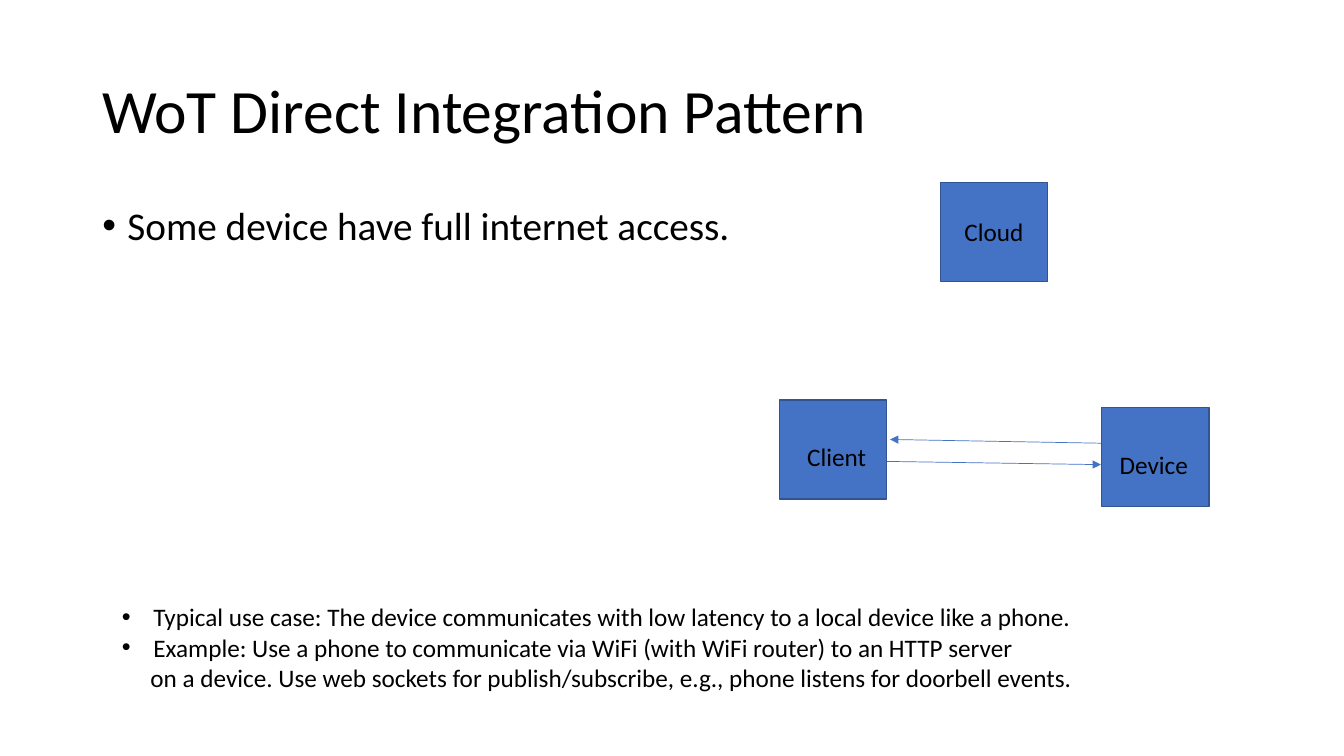
from dataclasses import dataclass

from lxml import etree
from pptx import Presentation
from pptx.dml.color import RGBColor
from pptx.enum.shapes import MSO_CONNECTOR, MSO_SHAPE
from pptx.enum.text import MSO_ANCHOR, MSO_AUTO_SIZE
from pptx.oxml.ns import qn
from pptx.util import Pt

RECTANGLE = MSO_SHAPE.RECTANGLE
STRAIGHT = MSO_CONNECTOR.STRAIGHT
TOP, MIDDLE = MSO_ANCHOR.TOP, MSO_ANCHOR.MIDDLE
GROW, FIXED = MSO_AUTO_SIZE.SHAPE_TO_FIT_TEXT, MSO_AUTO_SIZE.NONE

FONT = "Calibri"
BLACK, BLUE, DARK_BLUE = "000000", "4472C4", "325491"
NODE_WIDTH, NODE_HEIGHT = 76.5, 70.8


@dataclass
class Line:
    text: str
    indent: float = 0
    bullet: bool = False


@dataclass
class Node:
    left: float
    top: float
    label: str
    label_left: float
    label_top: float
    label_width: float


@dataclass
class Arrow:
    start: tuple[float, float]
    end: tuple[float, float]


def color(value: str) -> RGBColor:
    return RGBColor.from_string(value)


def add_text(slide, lines: list[Line], left: float, top: float, width: float,
             height: float, *, size: float = 18, spacing: float = 1.0,
             anchor=TOP, wrap: bool = True, fit=FIXED) -> None:
    box = slide.shapes.add_textbox(Pt(left), Pt(top), Pt(width), Pt(height))
    frame = box.text_frame
    frame.word_wrap = wrap
    frame.auto_size = fit
    frame.vertical_anchor = anchor
    for index, line in enumerate(lines):
        para = frame.add_paragraph() if index else frame.paragraphs[0]
        para.line_spacing = spacing
        properties = para._p.get_or_add_pPr()
        properties.set("marL", str(Pt(line.indent)))
        if line.bullet:
            properties.set("indent", str(-Pt(line.indent)))
            etree.SubElement(properties, qn("a:buFont")).set("typeface", "Arial")
            etree.SubElement(properties, qn("a:buChar")).set("char", "•")
        span = para.add_run()
        span.text = line.text
        span.font.name = FONT
        span.font.size = Pt(size)
        span.font.color.rgb = color(BLACK)


def add_node(slide, node: Node) -> None:
    square = slide.shapes.add_shape(RECTANGLE, Pt(node.left), Pt(node.top),
                                    Pt(NODE_WIDTH), Pt(NODE_HEIGHT))
    square.shadow.inherit = False
    square.fill.solid()
    square.fill.fore_color.rgb = color(BLUE)
    square.line.color.rgb = color(DARK_BLUE)
    square.line.width = Pt(1)
    add_text(slide, [Line(node.label)], node.label_left, node.label_top,
             node.label_width, 29, wrap=False, fit=GROW)


def add_arrow(slide, arrow: Arrow) -> None:
    connector = slide.shapes.add_connector(STRAIGHT, *map(Pt, arrow.start + arrow.end))
    connector.line.color.rgb = color(BLUE)
    connector.line.width = Pt(0.5)
    outline = connector.line._get_or_add_ln()
    etree.SubElement(outline, qn("a:tailEnd")).set("type", "triangle")
    etree.SubElement(connector._element.spPr, qn("a:effectLst"))


NODES = [
    Node(787, 291, "Device", 792.7, 317.5, 70.6),
    Node(556.6, 285.8, "Client", 569.5, 311.8, 66.2),
    Node(671.8, 130.3, "Cloud", 681.8, 151.2, 56.9),
]
ARROWS = [
    Arrow((633.6, 329.6), (786.4, 331.9)),
    Arrow((786.4, 316.6), (635.8, 313.9)),
]
USE_CASES = [
    Line("Typical use case: The device communicates with low latency to a local "
         "device like a phone.", 22.5, True),
    Line("Example: Use a phone to communicate via WiFi (with WiFi router) to an "
         "HTTP server", 22.5, True),
    Line("on a device. Use web sockets for publish/subscribe, e.g., phone listens "
         "for doorbell events.", 20.4),
]


def main() -> None:
    deck = Presentation()
    deck.slide_width, deck.slide_height = Pt(960), Pt(540)
    slide = deck.slides.add_slide(deck.slide_layouts[6])

    # Title and main point
    add_text(slide, [Line("WoT Direct Integration Pattern")], 66, 28.75, 828, 104.4,
             size=44, spacing=0.9, anchor=MIDDLE)
    add_text(slide, [Line("Some device have full internet access.", 18, True)],
             66, 143.75, 828, 342.6, size=28, spacing=0.9)

    # Diagram
    for node in NODES:
        add_node(slide, node)
    for arrow in ARROWS:
        add_arrow(slide, arrow)

    # Use cases
    add_text(slide, USE_CASES, 80, 426.2, 836, 72.7, fit=GROW)

    deck.save("out.pptx")


if __name__ == "__main__":
    main()
